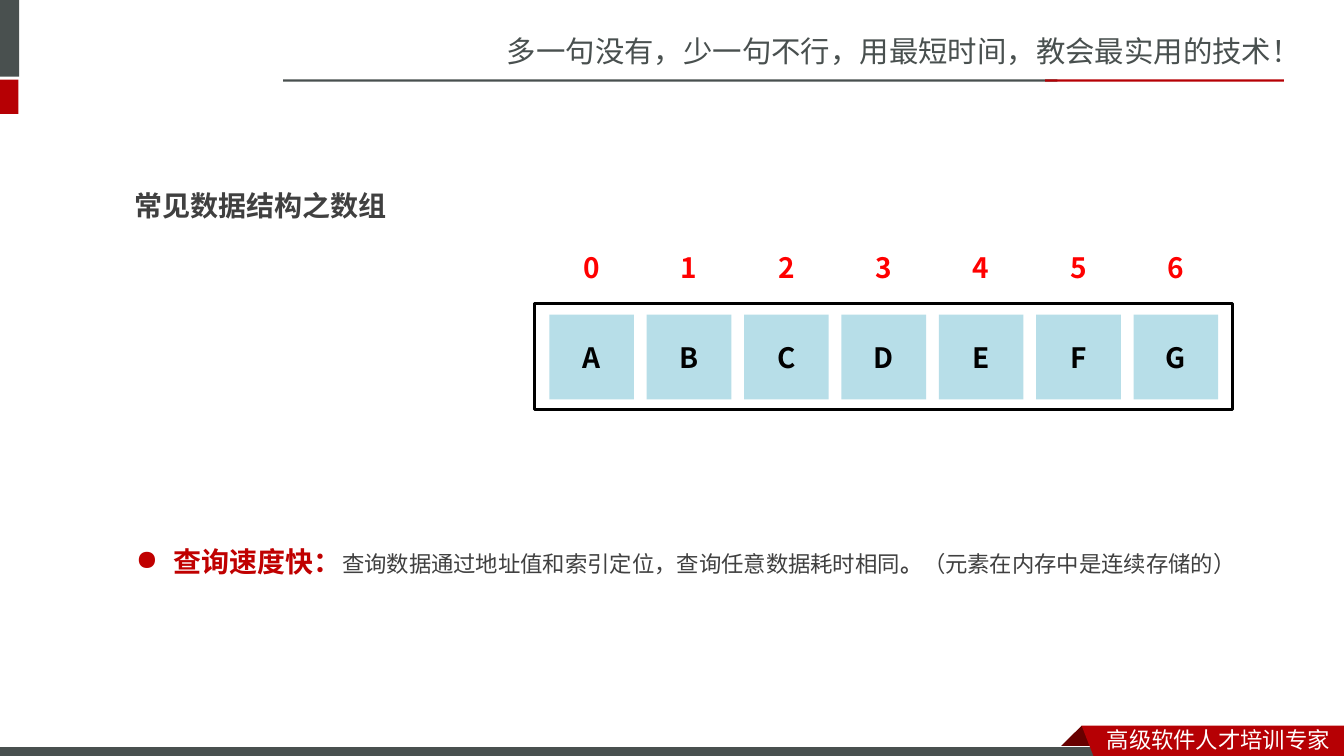
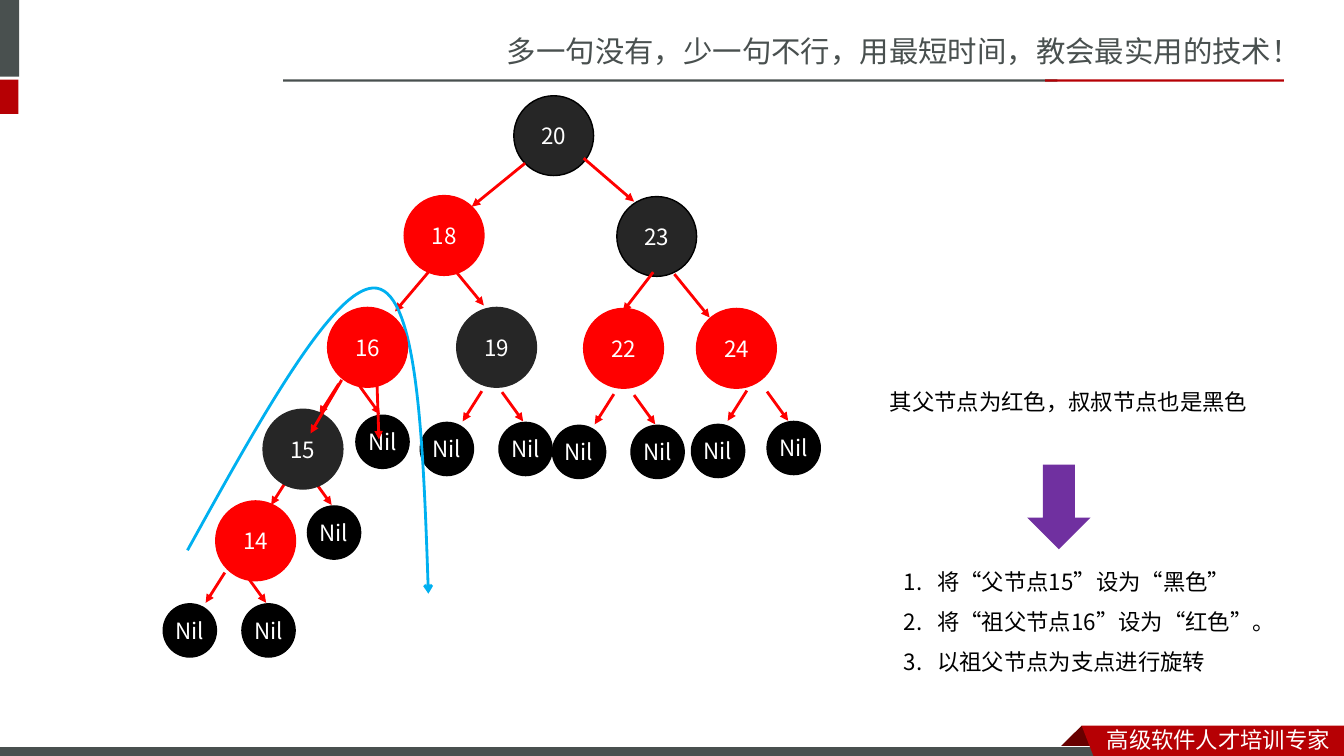
from dataclasses import dataclass

from lxml.etree import Element, SubElement
from pptx import Presentation
from pptx.dml.color import RGBColor
from pptx.enum.shapes import MSO_CONNECTOR, MSO_SHAPE
from pptx.enum.text import MSO_ANCHOR, PP_ALIGN
from pptx.oxml.ns import qn
from pptx.util import Pt

RECT, OVAL, DOWN = MSO_SHAPE.RECTANGLE, MSO_SHAPE.OVAL, MSO_SHAPE.DOWN_ARROW
STRAIGHT = MSO_CONNECTOR.STRAIGHT
TOP, MIDDLE = MSO_ANCHOR.TOP, MSO_ANCHOR.MIDDLE
LEFT, CENTER = PP_ALIGN.LEFT, PP_ALIGN.CENTER

WHITE = RGBColor(0xFF, 0xFF, 0xFF)
BLACK = RGBColor(0x00, 0x00, 0x00)
SLATE = RGBColor(0x49, 0x50, 0x4F)
BRAND = RGBColor(0xB6, 0x00, 0x04)
FOLD = RGBColor(0x68, 0x00, 0x00)
GRAY = RGBColor(0x40, 0x40, 0x40)
CRIMSON = RGBColor(0xC0, 0x00, 0x00)
RED = RGBColor(0xFF, 0x00, 0x00)
COAL = RGBColor(0x26, 0x26, 0x26)
AQUA = RGBColor(0xB7, 0xDE, 0xE8)
PURPLE = RGBColor(0x70, 0x30, 0xA0)
SKY = RGBColor(0x00, 0xB0, 0xF0)

SANS = "Noto Sans CJK SC"
BOLD = "Noto Sans CJK JP"


@dataclass(frozen=True)
class Box:
    x: float
    y: float
    w: float
    h: float

    def place(self) -> tuple:
        return Pt(self.x), Pt(self.y), Pt(self.w), Pt(self.h)


@dataclass(frozen=True)
class Style:
    size: float
    color: RGBColor
    name: str = SANS
    bold: bool = False


@dataclass(frozen=True)
class Band:
    box: Box
    fill: RGBColor
    line: RGBColor | None = None


@dataclass(frozen=True)
class Node:
    label: str
    x: float
    y: float
    fill: RGBColor
    line: RGBColor
    size: float = 57


@dataclass(frozen=True)
class Edge:
    x1: float
    y1: float
    x2: float
    y2: float


SLOGAN = Style(21, SLATE)
BADGE = Style(16, WHITE)
HEAD = Style(20, GRAY, BOLD, True)
CELL = Style(20, BLACK, BOLD, True)
INDEX = Style(20, RED, BOLD, True)
NOTE = Style(16, BLACK)

BANDS = [
    Band(Box(0, 0, 13.7, 54.7), SLATE),
    Band(Box(0, 56.9, 13.2, 24.5), BRAND),
    Band(Box(202.3, 56.7, 553, 1.7), SLATE),
    Band(Box(746.6, 56.7, 170.6, 1.7), BRAND),
]
FLOOR = Band(Box(-0.7, 533.5, 792, 8.6), SLATE, WHITE)
FLAP = [(772.6, 518.4), (788.4, 534.2), (787.7, 535), (757.4, 535), (756.7, 534.2)]
RIBBON = [(772.6, 518.4), (960, 518.4), (960, 542.9), (781.9, 542.2)]

BACK = [
    Node("20", 367, 68.4, COAL, BLACK),
    Node("23", 440.6, 140.4, COAL, BLACK),
    Node("22", 416.9, 220.3, RED, RED),
    Node("24", 497.5, 220.3, RED, RED),
    Node("14", 154.1, 357.8, RED, RED),
]
NILS = [
    Node("Nil", x, y, BLACK, BLACK, 38)
    for x, y in [
        (254.2, 296.6), (300.2, 301.7), (356.4, 301.7), (394.6, 303.8), (450.7, 303.8),
        (493.9, 303.1), (547.9, 301), (219.6, 361.4), (116.6, 431.3), (172.8, 431.3),
    ]
]
MID = [Node("19", 326.2, 219.6, COAL, COAL), Node("18", 288.7, 139.7, RED, RED)]
FRONT = [Node("16", 234, 219.6, RED, RED), Node("15", 187.9, 292.3, COAL, COAL)]

EDGES = [
    Edge(375.1, 116.6, 337, 147.6),
    Edge(306, 194.4, 282.2, 222.5),
    Edge(325.4, 193.7, 345.6, 218.2),
    Edge(416.9, 113, 452.9, 144),
    Edge(466.6, 194.4, 445, 222.5),
    Edge(481.7, 195.8, 506.9, 226.8),
]
FORKS = [(241.9, 274.3), (344.2, 279.4), (438.5, 281.5),
         (533.5, 279), (207.4, 339.1), (160.6, 409)]
LAST = [Edge(269.3, 274.3, 270.7, 313.9), Edge(244.1, 271.4, 221.8, 309.6)]
CURVE = [(133.9, 393.1), (187.2, 296.6), (240.5, 200.9), (269.3, 205.9),
         (298.1, 211), (302.4, 317.5), (306, 424.1)]


def set_font(font, style: Style) -> None:
    font.size = Pt(style.size)
    font.bold = style.bold
    font.name = style.name
    font.color.rgb = style.color


def paint(shape, fill: RGBColor | None, line: RGBColor | None = None, width: float = 1) -> None:
    shape.shadow.inherit = False
    if fill is None:
        shape.fill.background()
    else:
        shape.fill.solid()
        shape.fill.fore_color.rgb = fill
    if line is None:
        shape.line.fill.background()
    else:
        shape.line.color.rgb = line
        shape.line.width = Pt(width)


def add_form(slide, kind, box: Box, fill, line=None, width: float = 1):
    shape = slide.shapes.add_shape(kind, *box.place())
    paint(shape, fill, line, width)
    return shape


def write(shape, text: str, style: Style, align=LEFT, anchor=TOP, space: float | None = None) -> None:
    frame = shape.text_frame
    frame.vertical_anchor = anchor
    frame.text = text
    for para in frame.paragraphs:
        para.alignment = align
        if space:
            para.line_spacing = space
        set_font(para.font, style)


def add_text(slide, box: Box, text: str, style: Style, align=LEFT, anchor=TOP, space=None):
    shape = slide.shapes.add_textbox(*box.place())
    shape.text_frame.word_wrap = True
    write(shape, text, style, align, anchor, space)
    return shape


def add_mark(para, indent: float, tag: str, **kind: str) -> None:
    props = para._p.get_or_add_pPr()
    props.set("marL", str(Pt(indent)))
    props.set("indent", str(-Pt(indent)))
    mark = Element(qn(tag), **kind)
    first = props.find(qn("a:defRPr"))
    if first is None:
        props.append(mark)
    else:
        first.addprevious(mark)


def add_head(shape, kind: str) -> None:
    SubElement(shape.element.spPr.find(qn("a:ln")), qn("a:tailEnd"), type=kind)


def add_edge(slide, edge: Edge) -> None:
    line = slide.shapes.add_connector(
        STRAIGHT, Pt(edge.x1), Pt(edge.y1), Pt(edge.x2), Pt(edge.y2))
    line.line.color.rgb = RED
    line.line.width = Pt(2)
    add_head(line, "triangle")
    SubElement(line.element.spPr, qn("a:effectLst"))


def add_node(slide, node: Node) -> None:
    shape = add_form(slide, OVAL, Box(node.x, node.y, node.size, node.size), node.fill, node.line)
    frame = shape.text_frame
    frame.word_wrap = False
    frame.margin_left = frame.margin_right = frame.margin_top = frame.margin_bottom = 0
    write(shape, node.label, BADGE, CENTER, MIDDLE)


def trace(slide, points: list, close: bool = True):
    spots = [(Pt(x), Pt(y)) for x, y in points]
    form = slide.shapes.build_freeform(*spots[0])
    form.add_line_segments(spots[1:], close=close)
    return form.convert_to_shape()


def add_curve(slide) -> None:
    shape = trace(slide, CURVE, close=False)
    paint(shape, None, SKY, 2)
    add_head(shape, "arrow")
    route = next(shape.element.iter(qn("a:path")))
    steps = route.findall(qn("a:lnTo"))
    for start in range(0, len(steps), 3):
        bend = SubElement(route, qn("a:cubicBezTo"))
        for step in steps[start:start + 3]:
            bend.append(step[0])
            route.remove(step)


def add_frame(slide) -> None:
    add_text(slide, Box(355, 20.2, 605, 33.8),
             "多一句没有，少一句不行，用最短时间，教会最实用的技术！", SLOGAN)
    for band in BANDS:
        add_form(slide, RECT, band.box, band.fill)
    paint(trace(slide, FLAP), FOLD)
    add_form(slide, RECT, FLOOR.box, FLOOR.fill, FLOOR.line, 0.75)
    paint(trace(slide, RIBBON), BRAND)
    add_text(slide, Box(783.4, 514.8, 176.4, 26.6), "高级软件人才培训专家", BADGE)


def draw_array(slide) -> None:
    title = slide.shapes.title
    title.left, title.top, title.width, title.height = Box(88.6, 118.8, 368.6, 40.3).place()
    write(title, "常见数据结构之数组", HEAD, space=1.5)
    add_form(slide, RECT, Box(381.6, 216.7, 499, 75.6), None, BLACK, 2)
    for index, letter in enumerate("ABCDEFG"):
        x = 392.4 + 69.55 * index
        cell = add_form(slide, RECT, Box(x, 224.8, 60.5, 60.5), AQUA)
        write(cell, letter, CELL, CENTER, MIDDLE)
        add_text(slide, Box(x, 160.6, 60.5, 60.5), str(index), INDEX, CENTER, MIDDLE)
    shape = slide.shapes.add_textbox(*Box(90, 373.7, 807, 40.3).place())
    shape.text_frame.word_wrap = True
    para = shape.text_frame.paragraphs[0]
    para.line_spacing = 1.5
    add_mark(para, 27, "a:buChar", char="●")
    for text, style in [
        ("查询速度快：", Style(20, CRIMSON, BOLD, True)),
        ("查询数据通过地址值和索引定位，查询任意数据耗时相同", Style(16, GRAY, BOLD)),
        ("。", Style(16, GRAY, BOLD, True)),
        ("（元素在内存中是连续存储的）", Style(16, GRAY, BOLD)),
    ]:
        run = para.add_run()
        run.text = text
        set_font(run.font, style)


def draw_tree(slide) -> None:
    for node in BACK + NILS:
        add_node(slide, node)
    for edge in EDGES:
        add_edge(slide, edge)
    for x, y in FORKS:
        add_edge(slide, Edge(x, y, x - 13.7, y + 21.6))
        add_edge(slide, Edge(x + 14.4, y + 0.7, x + 29.5, y + 21.6))
    for node in MID:
        add_node(slide, node)
    add_curve(slide)
    for node in FRONT:
        add_node(slide, node)
    for edge in LAST:
        add_edge(slide, edge)
    add_text(slide, Box(628.6, 264.2, 290, 33.1), "其父节点为红色，叔叔节点也是黑色", NOTE, space=1.5)
    add_form(slide, DOWN, Box(733.7, 331.9, 45.4, 60.5), PURPLE)
    steps = add_text(slide, Box(638.6, 392.4, 300, 91.4),
                     "将“父节点15”设为“黑色”\n将“祖父节点16”设为“红色”。\n以祖父节点为支点进行旋转",
                     NOTE, space=1.5)
    for para in steps.text_frame.paragraphs:
        add_mark(para, 23.8, "a:buAutoNum", type="arabicPeriod")


def match_fonts(slide) -> None:
    for latin in list(slide.element.iter(qn("a:latin"))):
        latin.addnext(Element(qn("a:ea"), typeface=latin.get("typeface")))


def main() -> None:
    deck = Presentation()
    deck.slide_width, deck.slide_height = Pt(960), Pt(540)
    for layout, draw in [(5, draw_array), (6, draw_tree)]:
        slide = deck.slides.add_slide(deck.slide_layouts[layout])
        add_frame(slide)
        draw(slide)
        match_fonts(slide)
    deck.save("out.pptx")


if __name__ == "__main__":
    main()
